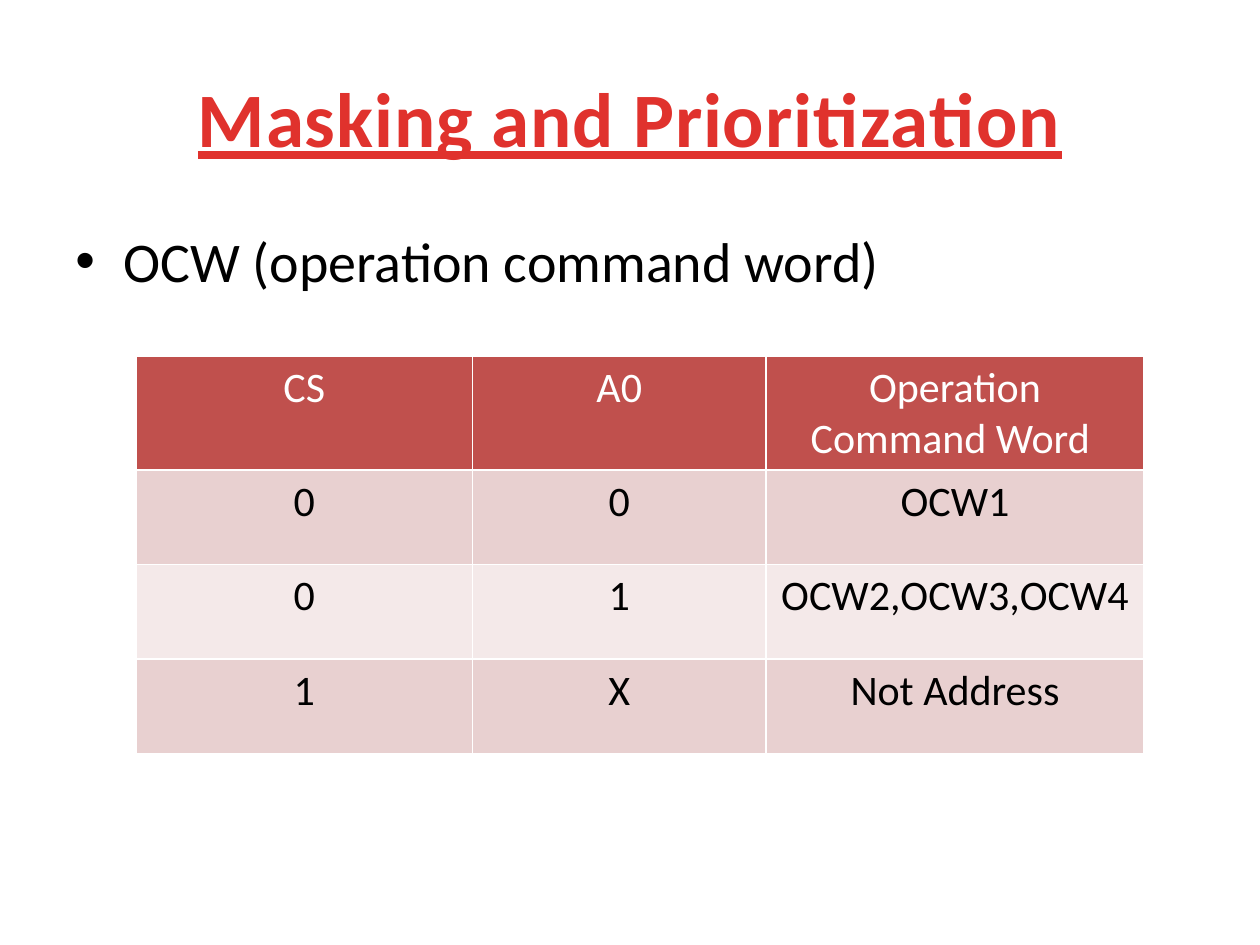
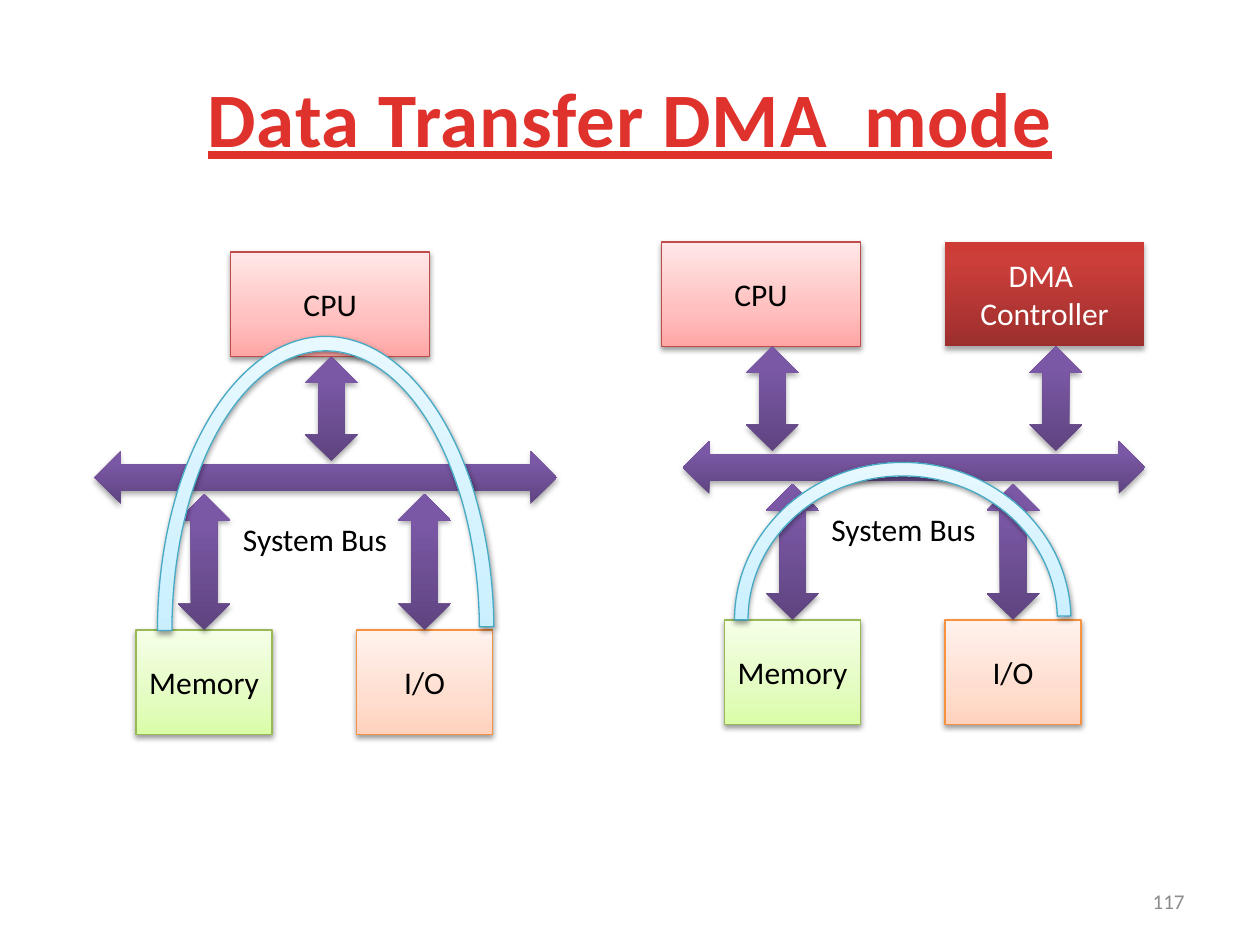
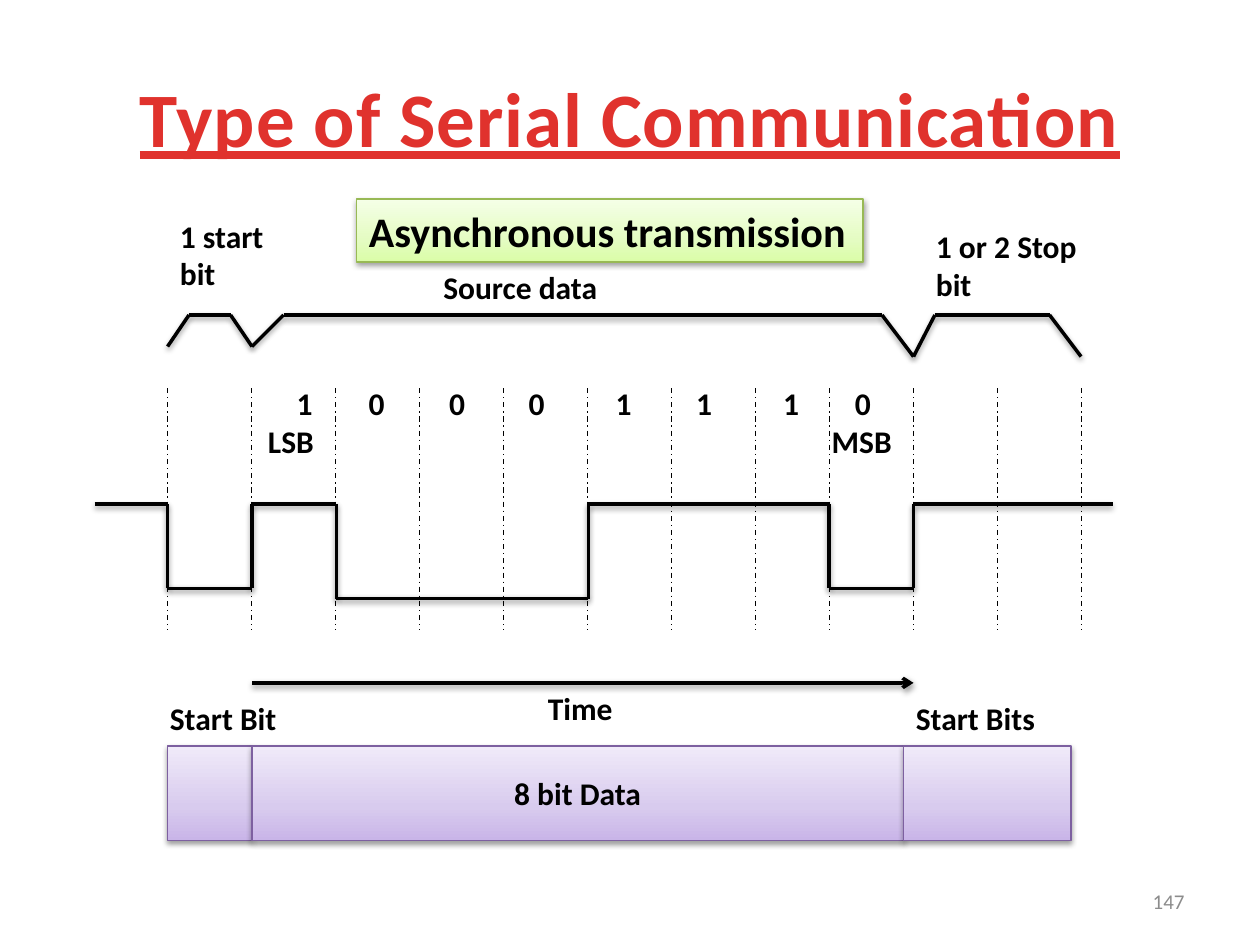
from itertools import pairwise

from pptx import Presentation
from pptx.dml.color import RGBColor
from pptx.enum.dml import MSO_LINE
from pptx.enum.shapes import MSO_CONNECTOR, MSO_SHAPE
from pptx.enum.text import MSO_ANCHOR, PP_ALIGN
from pptx.oxml import parse_xml
from pptx.oxml.ns import nsdecls
from pptx.util import Inches, Pt

RECT = MSO_SHAPE.RECTANGLE
WIDE = MSO_SHAPE.LEFT_RIGHT_ARROW
TALL = MSO_SHAPE.UP_DOWN_ARROW
ARC = MSO_SHAPE.BLOCK_ARC
LINE = MSO_CONNECTOR.STRAIGHT
DASH = MSO_LINE.DASH_DOT
LEFT, MID, RIGHT = PP_ALIGN.LEFT, PP_ALIGN.CENTER, PP_ALIGN.RIGHT
TOP, CENTER = MSO_ANCHOR.TOP, MSO_ANCHOR.MIDDLE

FONT = "Calibri"
BLACK, WHITE, RED, GREY = "000000", "FFFFFF", "E0322D", "8C8C8C"
HEAD, ODD, EVEN = "C0504D", "E8D0D0", "F4E9E9"

SKINS = {
    "green": ([(0, "DAFDA7"), (35, "E4FCC2"), (100, "F5FFE7")], "98B955"),
    "pink": ([(0, "FFA6A5"), (35, "FFC0BF"), (100, "FFE7E7")], "BF4C48"),
    "peach": ([(0, "FFD2BD"), (35, "FFDED0"), (100, "FFF2ED")], "F69240"),
    "blue": ([(0, "A7E6FF"), (35, "C1EDFF"), (100, "E7F8FF")], "46AAC5"),
    "lilac": ([(0, "C9B5E8"), (35, "D8CBEE"), (100, "F0EAF9")], "7D60A0"),
    "red": ([(0, "9C2F2D"), (80, "CB3E3A"), (100, "CE3B37")], None),
    "violet": ([(0, "5F4480"), (80, "7B58A6"), (100, "7C57A8")], None),
}


def color(code):
    return RGBColor.from_string(code)


def box(x, y, w, h):
    return [Inches(v) for v in (x, y, w, h)]


def write(frame, text, size, code=BLACK, bold=False, align=LEFT, anchor=TOP):
    frame.text = text
    frame.word_wrap = True
    frame.vertical_anchor = anchor
    for para in frame.paragraphs:
        style(para, size, code, bold, align)


def style(para, size, code, bold, align):
    para.alignment = align
    for run in para.runs:
        font = run.font
        font.name, font.size, font.bold = FONT, Pt(size), bold
        font.color.rgb = color(code)


def label(slide, place, text, size=18, **look):
    frame = slide.shapes.add_textbox(*box(*place)).text_frame
    write(frame, text, size, **look)
    return frame


def shade(props, alpha, dist):
    for old in props.findall("{*}effectLst"):
        props.remove(old)
    props.append(parse_xml(
        f'<a:effectLst {nsdecls("a")}><a:outerShdw blurRad="40000" '
        f'dist="{dist}" dir="5400000" rotWithShape="0"><a:srgbClr val="000000">'
        f'<a:alpha val="{alpha}000"/></a:srgbClr></a:outerShdw></a:effectLst>'))


def block(slide, kind, place, skin, text="", size=18, bold=False, align=MID):
    stops, edge = SKINS[skin]
    shape = slide.shapes.add_shape(kind, *box(*place))
    marks = "".join(f'<a:gs pos="{pos}000"><a:srgbClr val="{code}"/></a:gs>'
                    for pos, code in stops)
    props = shape._element.spPr
    props.insert(2, parse_xml(
        f'<a:gradFill {nsdecls("a")} rotWithShape="1"><a:gsLst>{marks}</a:gsLst>'
        '<a:lin ang="16200000" scaled="0"/></a:gradFill>'))
    if edge:
        shape.line.color.rgb = color(edge)
        shape.line.width = Pt(0.75)
        shade(props, 38, 20000)
    else:
        shape.line.fill.background()
        shade(props, 35, 23000)
    if text:
        ink = BLACK if edge else WHITE
        write(shape.text_frame, text, size, ink, bold, align, CENTER)
    return shape


def stroke(slide, start, end, width=2, dash=None, arrow=False):
    ends = [Inches(v) for v in (*start, *end)]
    line = slide.shapes.add_connector(LINE, *ends)
    line.line.color.rgb = color(BLACK)
    line.line.width = Pt(width)
    props = line._element.spPr
    if arrow:
        props.find("{*}ln").append(
            parse_xml(f'<a:tailEnd {nsdecls("a")} type="arrow"/>'))
    if dash:
        line.line.dash_style = dash
        props.append(parse_xml(f'<a:effectLst {nsdecls("a")}/>'))
    else:
        shade(props, 38, 20000)


def path_line(slide, x, y, points):
    spots = [(x + dx, y + dy) for dx, dy in points]
    for start, end in pairwise(spots):
        stroke(slide, start, end)


def start_slide(deck, title, number=None):
    slide = deck.slides.add_slide(deck.slide_layouts[5])
    head = slide.shapes.title
    head.left, head.top, head.width, head.height = box(0.5, 0.3, 9, 1.25)
    write(head.text_frame, title, 44, RED, True, MID, CENTER)
    run = head.text_frame.paragraphs[0].runs[0]
    run.font.underline = True
    run._r.get_or_add_rPr().set("spc", "50")
    if number:
        label(slide, (7.17, 6.95, 2.33, 0.4), number, 12, code=GREY,
              align=RIGHT, anchor=CENTER)
    return slide


def bullet(slide, place, text):
    para = label(slide, place, text, 32).paragraphs[0]
    props = para._p.get_or_add_pPr()
    props.set("marL", str(Inches(0.38)))
    props.set("indent", str(-Inches(0.38)))
    props.append(parse_xml(f'<a:buFont {nsdecls("a")} typeface="Arial"/>'))
    props.append(parse_xml(f'<a:buChar {nsdecls("a")} char="•"/>'))


def edge_cell(cell):
    props = cell._tc.get_or_add_tcPr()
    for spot, side in enumerate("LRTB"):
        props.insert(spot, parse_xml(
            f'<a:ln{side} {nsdecls("a")} w="12700"><a:solidFill>'
            f'<a:srgbClr val="{WHITE}"/></a:solidFill></a:ln{side}>'))


def word_table(slide, place, rows, widths, heights):
    shape = slide.shapes.add_table(len(rows), len(widths), *box(*place))
    table = shape.table
    for col, width in zip(table.columns, widths):
        col.width = Inches(width)
    for row, height in zip(table.rows, heights):
        row.height = Inches(height)
    for i, row in enumerate(rows):
        fill = (ODD if i % 2 else EVEN) if i else HEAD
        for j, text in enumerate(row):
            cell = table.cell(i, j)
            cell.fill.solid()
            cell.fill.fore_color.rgb = color(fill)
            edge_cell(cell)
            cell.text_frame.text = text
            style(cell.text_frame.paragraphs[0], 24,
                  BLACK if i else WHITE, False, MID)


def bus_plan(slide, x, y, units, arc):
    for text, skin, dx, gap in units:
        block(slide, RECT, (x + dx, y, 1.58, 0.83), skin, text)
        block(slide, TALL, (x + dx + gap, y + 0.83, 0.42, 0.83), "violet")
    block(slide, WIDE, (x, y + 1.58, 3.67, 0.42), "violet")
    for text, skin, dx in (("Memory", "green", 0.33), ("I/O", "peach", 2.08)):
        block(slide, RECT, (x + dx, y + 3, 1.08, 0.83), skin, text)
        block(slide, TALL, (x + dx + 0.33, y + 1.92, 0.42, 1.08), "violet")
    label(slide, (x + 1.08, y + 2.08, 1.42, 0.4), "System Bus")
    dx, dy, w, h = arc
    curve = block(slide, ARC, (x + dx, y + dy, w, h), "blue")
    for i, value in enumerate((108, 215.175, 0.043)):
        curve.adjustments[i] = value


def set_tabs(para, stops):
    marks = "".join(f'<a:tab pos="{Inches(stop)}" algn="ctr"/>' for stop in stops)
    para._p.get_or_add_pPr().append(
        parse_xml(f'<a:tabLst {nsdecls("a")}>{marks}</a:tabLst>'))


def bit_text(slide, x, y):
    bits = "".join("\t" + bit for bit in "10001110")
    frame = label(slide, (x, y, 5.58, 0.71), f"{bits}\n\tLSB\tMSB", bold=True)
    digits, ends = frame.paragraphs
    set_tabs(digits, (0.4, 0.97, 1.61, 2.24, 2.93, 3.57, 4.26, 4.83))
    set_tabs(ends, (0.29, 4.82))


def braces(slide, x, y):
    path_line(slide, x, y, [
        (0, 0.25), (0.17, 0), (0.5, 0), (0.67, 0.25), (0.92, 0), (5.67, 0),
        (5.92, 0.33), (6.09, 0), (7, 0), (7.25, 0.33)])
    for place, text in (
            ((x, y - 0.83, 1, 0.71), "1 start\nbit"),
            ((x + 6, y - 0.75, 2.17, 0.71), "1 or 2 Stop\nbit"),
            ((x + 2.09, y - 0.42, 2.5, 0.4), "Source data")):
        label(slide, place, text, bold=True)


def wave(slide, x, y):
    for i in range(12):
        at = x + 0.58 + i * 2 / 3 - (0.08 if i > 7 else 0)
        stroke(slide, (at, y - 0.92), (at, y + 1), 0.75, DASH)
    path_line(slide, x, y, [
        (0, 0), (0.58, 0), (0.58, 0.67), (1.25, 0.67), (1.25, 0), (1.92, 0),
        (1.92, 0.75), (3.92, 0.75), (3.92, 0), (5.83, 0), (5.83, 0.67),
        (6.5, 0.67), (6.5, 0), (8.08, 0)])
    bit_text(slide, x + 1.17, y - 1)


def data_frame(slide, x, y):
    stroke(slide, (x + 0.67, y - 0.5), (x + 5.92, y - 0.5), arrow=True)
    for dx, width, text in ((0, 0.67, ""), (0.67, 5.17, "8 bit Data"),
                            (5.84, 1.33, "")):
        block(slide, RECT, (x + dx, y, width, 0.75), "lilac", text, bold=True)
    for dx, dy, width, text in ((-0.08, -0.42, 1.2, "Start Bit"),
                                (5.84, -0.42, 1.33, "Start Bits"),
                                (2.92, -0.5, 1.33, "Time")):
        label(slide, (x + dx, y + dy, width, 0.4), text, bold=True)


def mask_slide(deck):
    slide = start_slide(deck, "Masking and Prioritization")
    bullet(slide, (0.5, 1.75, 9, 0.8), "OCW (operation command word)")
    rows = [("CS", "A0", "Operation Command Word "),
            ("0", "0", "OCW1"),
            ("0", "1", "OCW2,OCW3,OCW4"),
            ("1", "X", "Not Address")]
    word_table(slide, (1.08, 2.83, 8, 3.15), rows,
               (2.67, 2.33, 3), (0.9, 0.75, 0.75, 0.75))


def dma_slide(deck):
    slide = start_slide(deck, "Data Transfer DMA  mode", "117")
    bus_plan(slide, 0.75, 2, [("CPU", "pink", 1.08, 0.59)],
             (0.5, 0.67, 2.67, 4.67))
    bus_plan(slide, 5.42, 1.92, [("CPU", "pink", -0.17, 0.67),
                                 ("DMA \nController", "red", 2.08, 0.67)],
             (0.41, 1.75, 2.67, 2.5))


def serial_slide(deck):
    slide = start_slide(deck, "Type of Serial Communication", "147")
    block(slide, RECT, (2.83, 1.58, 4.02, 0.5), "green",
          "Asynchronous transmission", 24, True, LEFT).text_frame.word_wrap = False
    braces(slide, 1.33, 2.5)
    wave(slide, 0.75, 4)
    data_frame(slide, 1.33, 5.92)


def main():
    deck = Presentation()
    deck.slide_width, deck.slide_height = Inches(10), Inches(7.5)
    mask_slide(deck)
    dma_slide(deck)
    serial_slide(deck)
    deck.save("out.pptx")


if __name__ == "__main__":
    main()
